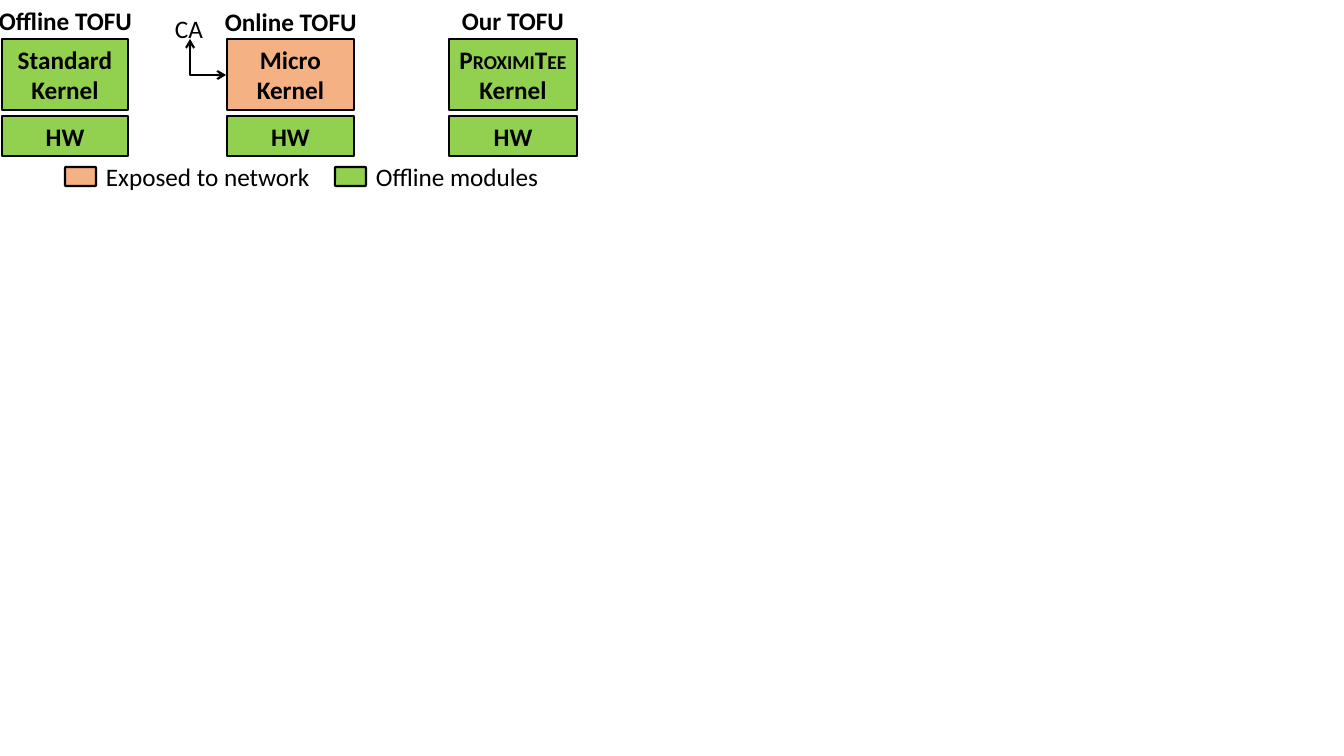
from lxml.etree import SubElement
from pptx import Presentation
from pptx.dml.color import RGBColor
from pptx.enum.shapes import MSO_CONNECTOR, MSO_SHAPE
from pptx.enum.text import MSO_ANCHOR, PP_ALIGN
from pptx.oxml.ns import qn
from pptx.util import Pt

EMU_PER_PX = 914400 / 100.8
FONT = "Calibri"
COLORS = {"offline": "92D050", "exposed": "F4B183", "ink": "000000"}
LARGE, SMALL = 18, 14

# Each column: title, title box (left, top, width), stack (left, width),
# kernel colour, kernel runs (text, size)
COLUMNS = [
    ("Offline TOFU", (-11, 0, 155), (2, 126), "offline", [("Standard Kernel", LARGE)]),
    ("Online TOFU", (215, 1, 153), (227, 127), "exposed", [("Micro Kernel", LARGE)]),
    ("Our TOFU", (452, 0, 123), (449, 128), "offline",
     [("P", LARGE), ("ROXIMI", SMALL), ("T", LARGE), ("EE", SMALL), (" Kernel", LARGE)]),
]
# Each entry: text, colour, swatch left, text width
LEGEND = [
    ("Exposed to network", "exposed", 65, 226),
    ("Offline modules", "offline", 335, 185),
]
KERNEL_TOP, KERNEL_HEIGHT = 39, 71
HARDWARE_TOP, HARDWARE_HEIGHT = 116, 40
LABEL_HEIGHT = 40
LEGEND_TOP = 156
SWATCH_TOP, SWATCH_WIDTH, SWATCH_HEIGHT = 167, 31, 19
ELBOW_LEFT, ELBOW_TOP, ELBOW_SIDE = 190, 39, 36


def px(length):
    return round(length * EMU_PER_PX)


def color(name):
    return RGBColor.from_string(COLORS[name])


def write(box, runs, bold, align):
    para = box.text_frame.paragraphs[0]
    para.alignment = align
    for text, size in runs:
        span = para.add_run()
        span.text = text
        span.font.name = FONT
        span.font.size = Pt(size)
        span.font.bold = bold
        span.font.color.rgb = color("ink")


def add_label(page, text, left, top, width, bold=False):
    box = page.shapes.add_textbox(px(left), px(top), px(width), px(LABEL_HEIGHT))
    box.text_frame.word_wrap = False
    write(box, [(text, LARGE)], bold, PP_ALIGN.LEFT)


def add_block(page, kind, fill, left, top, width, height):
    block = page.shapes.add_shape(kind, px(left), px(top), px(width), px(height))
    block.shadow.inherit = False
    block.fill.solid()
    block.fill.fore_color.rgb = color(fill)
    block.line.color.rgb = color("ink")
    block.line.width = Pt(1.5)
    return block


def add_module(page, runs, fill, left, top, width, height):
    module = add_block(page, MSO_SHAPE.RECTANGLE, fill, left, top, width, height)
    module.text_frame.word_wrap = True
    module.text_frame.vertical_anchor = MSO_ANCHOR.MIDDLE
    write(module, runs, True, PP_ALIGN.CENTER)


def add_elbow(page, left, top, side):
    """Draw a two-headed arrow that runs down and then right inside a square."""
    elbow = page.shapes.add_connector(
        MSO_CONNECTOR.ELBOW, px(left + side), px(top), px(left), px(top + side))
    elbow.line.color.rgb = color("ink")
    elbow.line.width = Pt(1.5)
    properties = elbow._element.spPr
    properties.find(qn("a:xfrm")).set("rot", str(270 * 60000))
    properties.find(qn("a:prstGeom")).set("prst", "bentConnector2")
    outline = properties.find(qn("a:ln"))
    for end in ("a:headEnd", "a:tailEnd"):
        SubElement(outline, qn(end), type="arrow")
    SubElement(properties, qn("a:effectLst"))


def main():
    deck = Presentation()
    deck.slide_width, deck.slide_height = px(1344), px(756)
    page = deck.slides.add_slide(deck.slide_layouts[6])

    for title, title_box, (left, width), fill, kernel in COLUMNS:
        add_module(page, [("HW", LARGE)], "offline",
                   left, HARDWARE_TOP, width, HARDWARE_HEIGHT)
        add_module(page, kernel, fill, left, KERNEL_TOP, width, KERNEL_HEIGHT)
        add_label(page, title, *title_box, bold=True)

    add_elbow(page, ELBOW_LEFT, ELBOW_TOP, ELBOW_SIDE)
    add_label(page, "CA", 165, 8, 49)

    for text, fill, left, width in LEGEND:
        swatch = add_block(page, MSO_SHAPE.ROUNDED_RECTANGLE, fill,
                           left, SWATCH_TOP, SWATCH_WIDTH, SWATCH_HEIGHT)
        swatch.adjustments[0] = 0.05
        add_label(page, text, left + SWATCH_WIDTH, LEGEND_TOP, width)

    deck.save("out.pptx")


if __name__ == "__main__":
    main()
